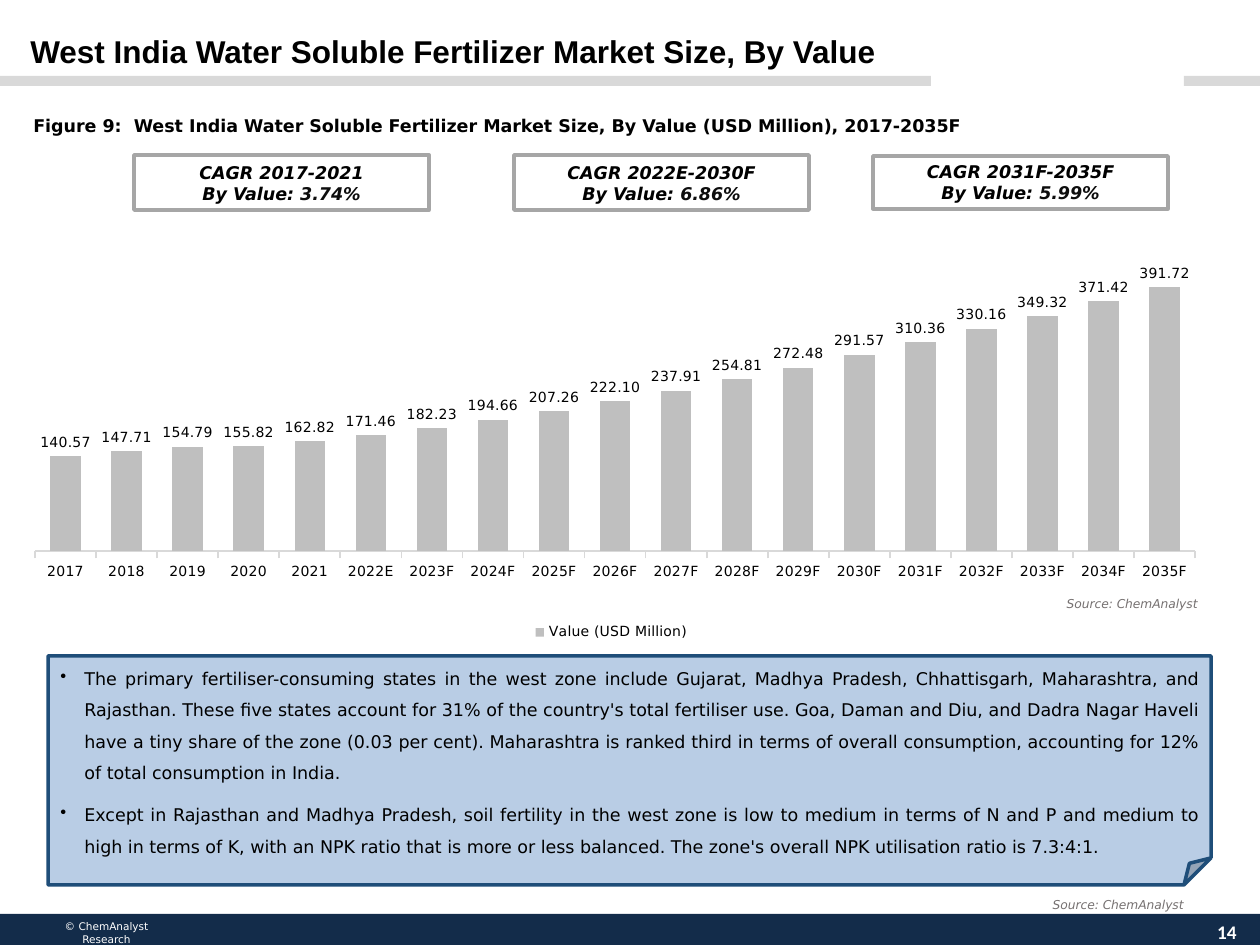
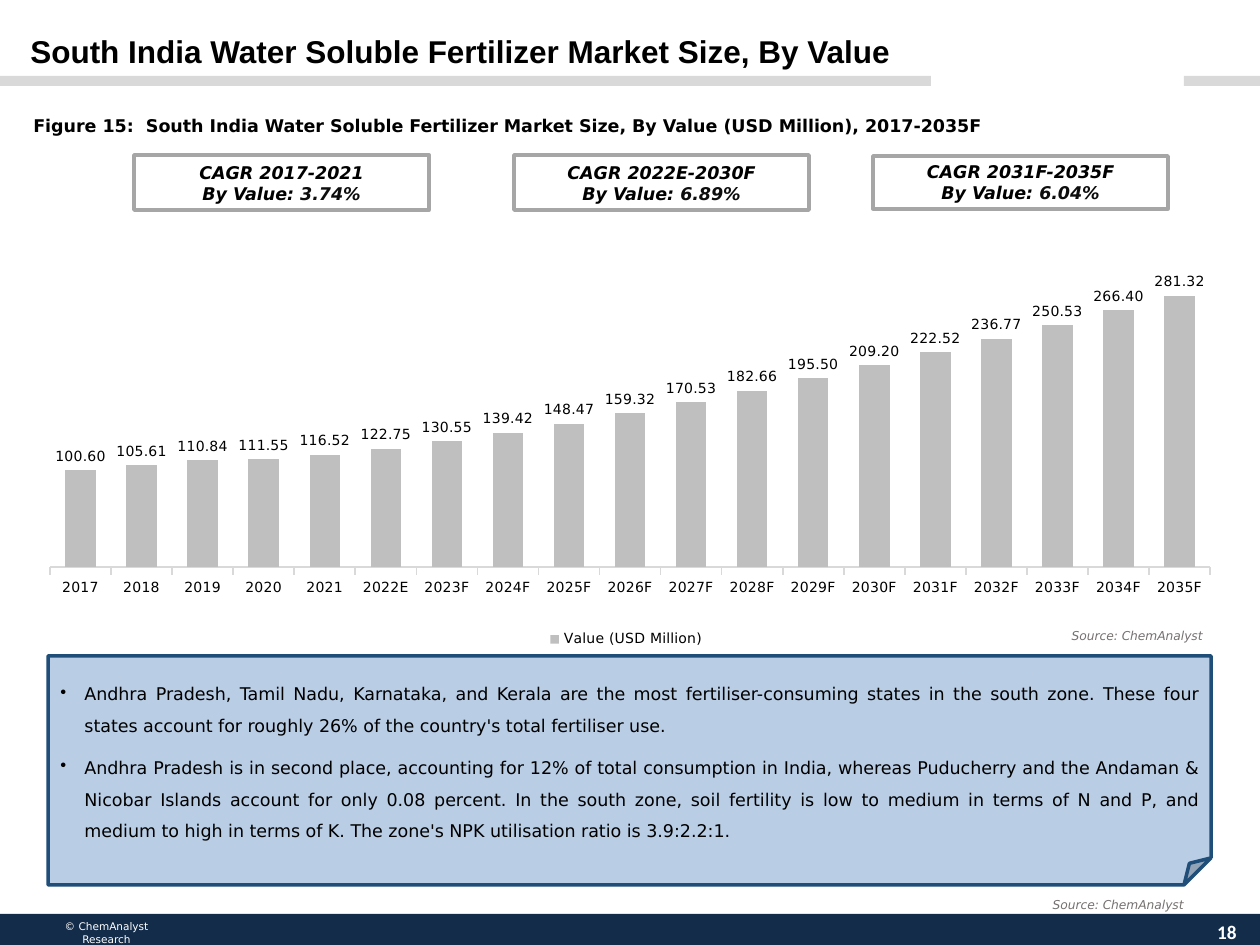
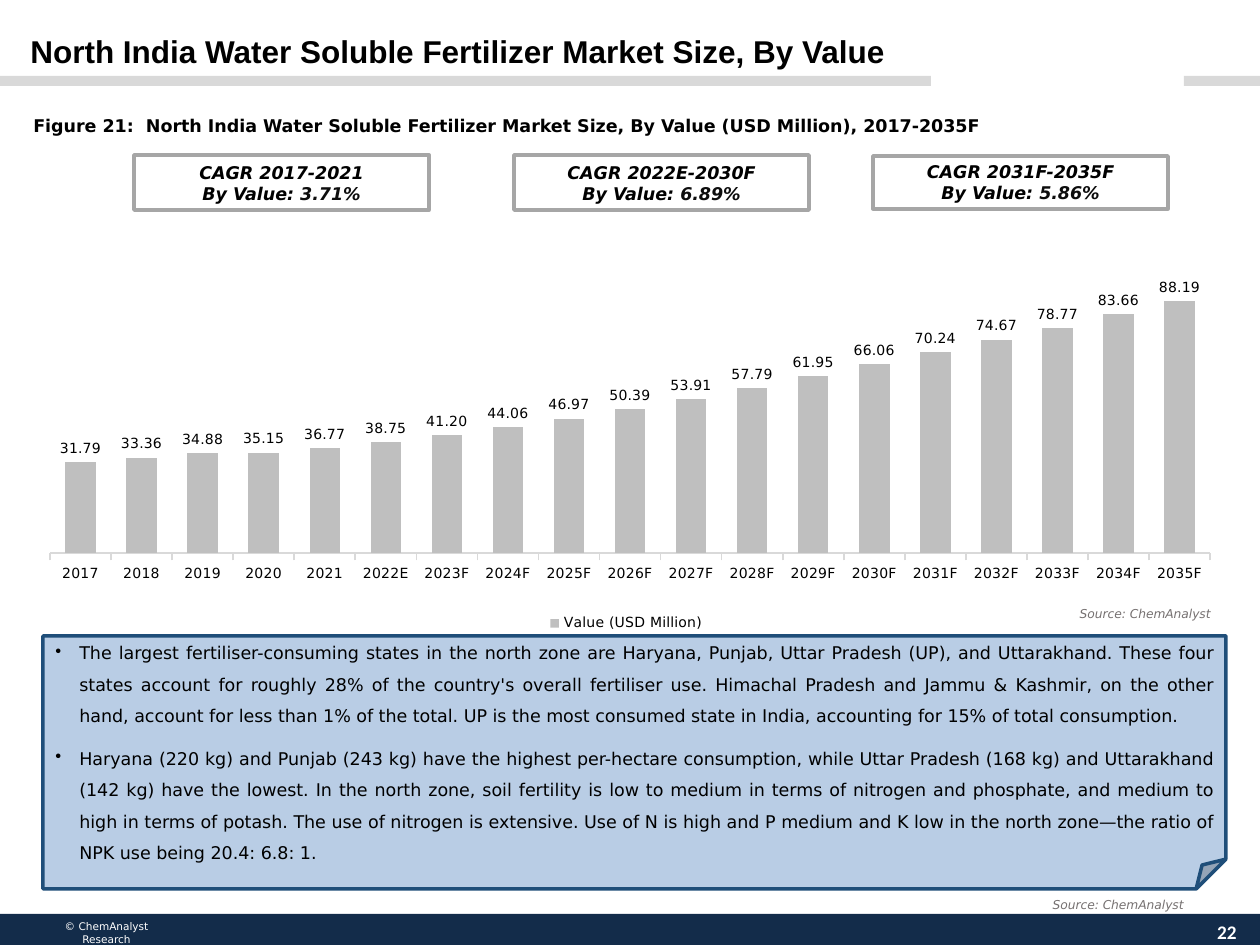
from dataclasses import dataclass
from typing import NamedTuple, Optional

import pptx
import pptx.chart.chart
import pptx.chart.data
import pptx.dml.color
import pptx.enum.chart
import pptx.enum.shapes
import pptx.enum.text
import pptx.oxml
import pptx.oxml.ns
import pptx.presentation
import pptx.shapes.autoshape
import pptx.slide
import pptx.text.text
import pptx.util

PX_PER_INCH = 126
ALIGN = pptx.enum.text.PP_ALIGN
ANCHOR = pptx.enum.text.MSO_ANCHOR
PRESET = pptx.enum.shapes.MSO_SHAPE


def px(length: int) -> pptx.util.Emu:
    return pptx.util.Emu(round(length * 914400 / PX_PER_INCH))


class Box(NamedTuple):
    left: int
    top: int
    width: int
    height: int

    def emu(self) -> list[pptx.util.Emu]:
        return [px(length) for length in self]


@dataclass(frozen=True)
class Style:
    size: int
    color: str = "000000"
    bold: bool = False
    italic: bool = False
    name: str = "DejaVu Sans"


@dataclass(frozen=True)
class Theme:
    band: str = "D9D9D9"
    footer: str = "132C4A"
    bar: str = "BFBFBF"
    axis: str = "D9D9D9"
    card_fill: str = "FFFFFF"
    card_line: str = "A6A6A6"
    note_fill: str = "B9CDE5"
    note_line: str = "1F4E79"
    outline_width: int = 2
    title: Style = Style(18, bold=True, name="Arial")
    caption: Style = Style(10, bold=True)
    card: Style = Style(10, bold=True, italic=True)
    card_rate: Style = Style(10, "0D0D0D", bold=True, italic=True)
    note: Style = Style(10)
    chart: Style = Style(8)
    source: Style = Style(7, "767171", italic=True)
    copyright: Style = Style(6, "FFFFFF")
    page_number: Style = Style(11, "FFFFFF", bold=True, name="Calibri")


THEME = Theme()

BANDS = [Box(0, 76, 931, 10), Box(1184, 76, 76, 10)]
FOOTER = Box(0, 914, 1260, 31)
COPYRIGHT = Box(63, 920, 87, 25)
PAGE_NUMBER = Box(1196, 907, 62, 50)
TITLE = Box(18, 26, 1084, 63)
CAPTION = Box(21, 98, 1174, 40)
SOURCE_SIZE = (199, 28)
FOOTER_SOURCE = (997, 891)
NOTE_BOX = Box(48, 656, 1163, 229)
BULLET_INDENT = 24
FOLD = 11800  # share of the shorter side, in 1/100000

CARDS = {
    "CAGR 2017-2021": Box(134, 155, 295, 55),
    "CAGR 2022E-2030F": Box(514, 155, 295, 55),
    "CAGR 2031F-2035F": Box(873, 156, 295, 53),
}
YEARS = (
    [str(year) for year in range(2017, 2022)]
    + ["2022E"]
    + [f"{year}F" for year in range(2023, 2036)]
)


class Plot(NamedTuple):
    """Inner plot area as fractions of the chart."""
    y: float
    h: float
    x: float = 0.024
    w: float = 0.958


@dataclass(frozen=True)
class Region:
    name: str
    figure: int
    page: int
    rates: list[str]
    values: list[float]
    axis_maximum: int
    chart_box: Box
    plot: Plot
    chart_source: tuple[int, int]
    notes: list[str]
    note_box: Box = NOTE_BOX


REGIONS = [
    Region(
        name="West", figure=9, page=14,
        rates=["3.74%", "6.86%", "5.99%"],
        values=[140.57, 147.71, 154.79, 155.82, 162.82, 171.46, 182.23,
                194.66, 207.26, 222.10, 237.91, 254.81, 272.48, 291.57,
                310.36, 330.16, 349.32, 371.42, 391.72],
        axis_maximum=450,
        chart_box=Box(6, 112, 1211, 534),
        plot=Plot(0.255, 0.567),
        chart_source=(1011, 590),
        notes=[
            "The primary fertiliser-consuming states in the west zone include "
            "Gujarat, Madhya Pradesh, Chhattisgarh, Maharashtra, and Rajasthan. "
            "These five states account for 31% of the country's total fertiliser "
            "use. Goa, Daman and Diu, and Dadra Nagar Haveli have a tiny share of "
            "the zone (0.03 per cent). Maharashtra is ranked third in terms of "
            "overall consumption, accounting for 12% of total consumption in "
            "India.",
            "Except in Rajasthan and Madhya Pradesh, soil fertility in the west "
            "zone is low to medium in terms of N and P and medium to high in "
            "terms of K, with an NPK ratio that is more or less balanced. The "
            "zone's overall NPK utilisation ratio is 7.3:4:1.",
        ],
    ),
    Region(
        name="South", figure=15, page=18,
        rates=["3.74%", "6.89%", "6.04%"],
        values=[100.60, 105.61, 110.84, 111.55, 116.52, 122.75, 130.55,
                139.42, 148.47, 159.32, 170.53, 182.66, 195.50, 209.20,
                222.52, 236.77, 250.53, 266.40, 281.32],
        axis_maximum=300,
        chart_box=Box(21, 149, 1211, 504),
        plot=Plot(0.255, 0.575),
        chart_source=(1016, 622),
        notes=[
            "Andhra Pradesh, Tamil Nadu, Karnataka, and Kerala are the most "
            "fertiliser-consuming states in the south zone. These four states "
            "account for roughly 26% of the country's total fertiliser use.",
            "Andhra Pradesh is in second place, accounting for 12% of total "
            "consumption in India, whereas Puducherry and the Andaman & Nicobar "
            "Islands account for only 0.08 percent. In the south zone, soil "
            "fertility is low to medium in terms of N and P, and medium to high "
            "in terms of K. The zone's NPK utilisation ratio is 3.9:2.2:1.",
        ],
    ),
    Region(
        name="North", figure=21, page=22,
        rates=["3.71%", "6.89%", "5.86%"],
        values=[31.79, 33.36, 34.88, 35.15, 36.77, 38.75, 41.20, 44.06, 46.97,
                50.39, 53.91, 57.79, 61.95, 66.06, 70.24, 74.67, 78.77, 83.66,
                88.19],
        axis_maximum=100,
        chart_box=Box(21, 149, 1211, 488),
        plot=Plot(0.243, 0.585),
        chart_source=(1024, 600),
        notes=[
            "The largest fertiliser-consuming states in the north zone are "
            "Haryana, Punjab, Uttar Pradesh (UP), and Uttarakhand. These four "
            "states account for roughly 28% of the country's overall fertiliser "
            "use. Himachal Pradesh and Jammu & Kashmir, on the other hand, "
            "account for less than 1% of the total. UP is the most consumed state "
            "in India, accounting for 15% of total consumption.",
            "Haryana (220 kg) and Punjab (243 kg) have the highest per-hectare "
            "consumption, while Uttar Pradesh (168 kg) and Uttarakhand (142 kg) "
            "have the lowest. In the north zone, soil fertility is low to medium "
            "in terms of nitrogen and phosphate, and medium to high in terms of "
            "potash. The use of nitrogen is extensive. Use of N is high and P "
            "medium and K low in the north zone—the ratio of NPK use being 20.4: "
            "6.8: 1.",
        ],
        note_box=Box(43, 636, 1183, 253),
    ),
]


def rgb(color: str) -> pptx.dml.color.RGBColor:
    return pptx.dml.color.RGBColor.from_string(color)


def apply_style(font: pptx.text.text.Font, style: Style) -> None:
    font.name = style.name
    font.size = pptx.util.Pt(style.size)
    font.bold = style.bold
    font.italic = style.italic
    font.color.rgb = rgb(style.color)


def style_text(text_frame: pptx.text.text.TextFrame, style: Style,
               align: ALIGN) -> None:
    for paragraph in text_frame.paragraphs:
        paragraph.alignment = align
        for run in paragraph.runs:
            apply_style(run.font, style)


def add_text(slide: pptx.slide.Slide, box: Box, text: str, style: Style,
             align: ALIGN = ALIGN.LEFT) -> pptx.text.text.TextFrame:
    text_frame = slide.shapes.add_textbox(*box.emu()).text_frame
    text_frame.word_wrap = True
    text_frame.text = text
    style_text(text_frame, style, align)
    return text_frame


def add_panel(slide: pptx.slide.Slide, preset: PRESET, box: Box, fill: str,
              line: Optional[str] = None) -> pptx.shapes.autoshape.Shape:
    shape = slide.shapes.add_shape(preset, *box.emu())
    shape.shadow.inherit = False
    shape.fill.solid()
    shape.fill.fore_color.rgb = rgb(fill)
    if line:
        shape.line.color.rgb = rgb(line)
        shape.line.width = pptx.util.Pt(THEME.outline_width)
    else:
        shape.line.fill.background()
    shape.text_frame.word_wrap = True
    shape.text_frame.vertical_anchor = ANCHOR.MIDDLE
    return shape


def add_frame(slide: pptx.slide.Slide, page: int) -> None:
    """Draw the title bands and the footer."""
    for band in BANDS:
        add_panel(slide, PRESET.RECTANGLE, band, THEME.band)
    add_panel(slide, PRESET.RECTANGLE, FOOTER, THEME.footer)
    owner = add_text(slide, COPYRIGHT, "© ChemAnalyst\nResearch",
                     THEME.copyright, ALIGN.CENTER)
    owner.margin_left = owner.margin_right = 0
    owner.margin_top = owner.margin_bottom = 0
    number = add_text(slide, PAGE_NUMBER, str(page), THEME.page_number,
                      ALIGN.CENTER)
    number.vertical_anchor = ANCHOR.MIDDLE


def add_source(slide: pptx.slide.Slide, corner: tuple[int, int]) -> None:
    add_text(slide, Box(*corner, *SOURCE_SIZE), "Source: ChemAnalyst",
             THEME.source, ALIGN.RIGHT)


def add_rate_card(slide: pptx.slide.Slide, box: Box, period: str,
                  rate: str) -> None:
    card = add_panel(slide, PRESET.RECTANGLE, box, THEME.card_fill,
                     THEME.card_line)
    text_frame = card.text_frame
    text_frame.text = f"{period}\nBy Value: "
    style_text(text_frame, THEME.card, ALIGN.CENTER)
    run = text_frame.paragraphs[-1].add_run()
    run.text = rate
    apply_style(run.font, THEME.card_rate)


def set_fold(panel: pptx.shapes.autoshape.Shape) -> None:
    geometry = panel._element.spPr.find(pptx.oxml.ns.qn("a:prstGeom"))
    for adjustments in geometry.findall(pptx.oxml.ns.qn("a:avLst")):
        geometry.remove(adjustments)
    geometry.append(pptx.oxml.parse_xml(
        f'<a:avLst {pptx.oxml.ns.nsdecls("a")}>'
        f'<a:gd name="adj" fmla="val {FOLD}"/></a:avLst>'))


def add_notes(slide: pptx.slide.Slide, box: Box, notes: list[str]) -> None:
    panel = add_panel(slide, PRESET.FOLDED_CORNER, box, THEME.note_fill,
                      THEME.note_line)
    set_fold(panel)
    text_frame = panel.text_frame
    text_frame.text = "\n".join(notes)
    for index, paragraph in enumerate(text_frame.paragraphs):
        paragraph.line_spacing = 1.5
        if index:
            paragraph.space_before = pptx.util.Pt(6)
        properties = paragraph._p.get_or_add_pPr()
        properties.set("marL", str(px(BULLET_INDENT)))
        properties.set("indent", str(-px(BULLET_INDENT)))
        properties.append(pptx.oxml.parse_xml(
            f'<a:buChar {pptx.oxml.ns.nsdecls("a")} char="•"/>'))
    style_text(text_frame, THEME.note, ALIGN.JUSTIFY)


def place_plot(chart: pptx.chart.chart.Chart, plot: Plot) -> None:
    plot_area = chart._chartSpace.chart.plotArea
    for layout in plot_area.findall(pptx.oxml.ns.qn("c:layout")):
        plot_area.remove(layout)
    modes = "".join(f'<c:{side}Mode val="edge"/>' for side in "xy")
    sizes = "".join(f'<c:{side} val="{getattr(plot, side)}"/>'
                    for side in "xywh")
    plot_area.insert(0, pptx.oxml.parse_xml(
        f'<c:layout {pptx.oxml.ns.nsdecls("c")}><c:manualLayout>'
        f'<c:layoutTarget val="inner"/>{modes}{sizes}'
        "</c:manualLayout></c:layout>"))


def add_value_chart(slide: pptx.slide.Slide, region: Region) -> None:
    enum = pptx.enum.chart
    data = pptx.chart.data.CategoryChartData(number_format="0.00")
    data.categories = YEARS
    data.add_series("Value (USD Million)", region.values)
    chart = slide.shapes.add_chart(enum.XL_CHART_TYPE.COLUMN_CLUSTERED,
                                   *region.chart_box.emu(), data).chart
    apply_style(chart.font, THEME.chart)
    chart.has_title = False
    chart.has_legend = True
    chart.legend.position = enum.XL_LEGEND_POSITION.BOTTOM
    chart.legend.include_in_layout = False
    apply_style(chart.legend.font, THEME.chart)

    category_axis = chart.category_axis
    category_axis.major_tick_mark = enum.XL_TICK_MARK.OUTSIDE
    category_axis.format.line.color.rgb = rgb(THEME.axis)
    category_axis.format.line.width = pptx.util.Pt(1)
    apply_style(category_axis.tick_labels.font, THEME.chart)

    value_axis = chart.value_axis
    value_axis.minimum_scale = 0
    value_axis.maximum_scale = region.axis_maximum
    value_axis.has_major_gridlines = False
    value_axis.tick_label_position = enum.XL_TICK_LABEL_POSITION.NONE
    value_axis.format.line.fill.background()

    bars = chart.plots[0]
    bars.gap_width = 100
    bars.vary_by_categories = False
    bars.series[0].format.fill.solid()
    bars.series[0].format.fill.fore_color.rgb = rgb(THEME.bar)
    bars.has_data_labels = True
    labels = bars.data_labels
    labels.show_value = True
    labels.number_format = "0.00"
    labels.number_format_is_linked = False
    labels.position = enum.XL_LABEL_POSITION.OUTSIDE_END
    apply_style(labels.font, THEME.chart)
    place_plot(chart, region.plot)


def add_region_slide(presentation: pptx.presentation.Presentation,
                     region: Region) -> None:
    slide = presentation.slides.add_slide(presentation.slide_layouts[6])
    heading = f"{region.name} India Water Soluble Fertilizer Market Size, By Value"
    add_frame(slide, region.page)
    add_value_chart(slide, region)
    caption = add_text(
        slide, CAPTION,
        f"Figure {region.figure}:  {heading} (USD Million), 2017-2035F",
        THEME.caption)
    caption.paragraphs[0].line_spacing = 1.5
    add_text(slide, TITLE, heading, THEME.title)
    for (period, box), rate in zip(CARDS.items(), region.rates):
        add_rate_card(slide, box, period, rate)
    add_notes(slide, region.note_box, region.notes)
    for corner in (region.chart_source, FOOTER_SOURCE):
        add_source(slide, corner)


def main() -> None:
    presentation = pptx.Presentation()
    presentation.slide_width = px(1260)
    presentation.slide_height = px(945)
    for region in REGIONS:
        add_region_slide(presentation, region)
    presentation.save("out.pptx")


if __name__ == "__main__":
    main()
